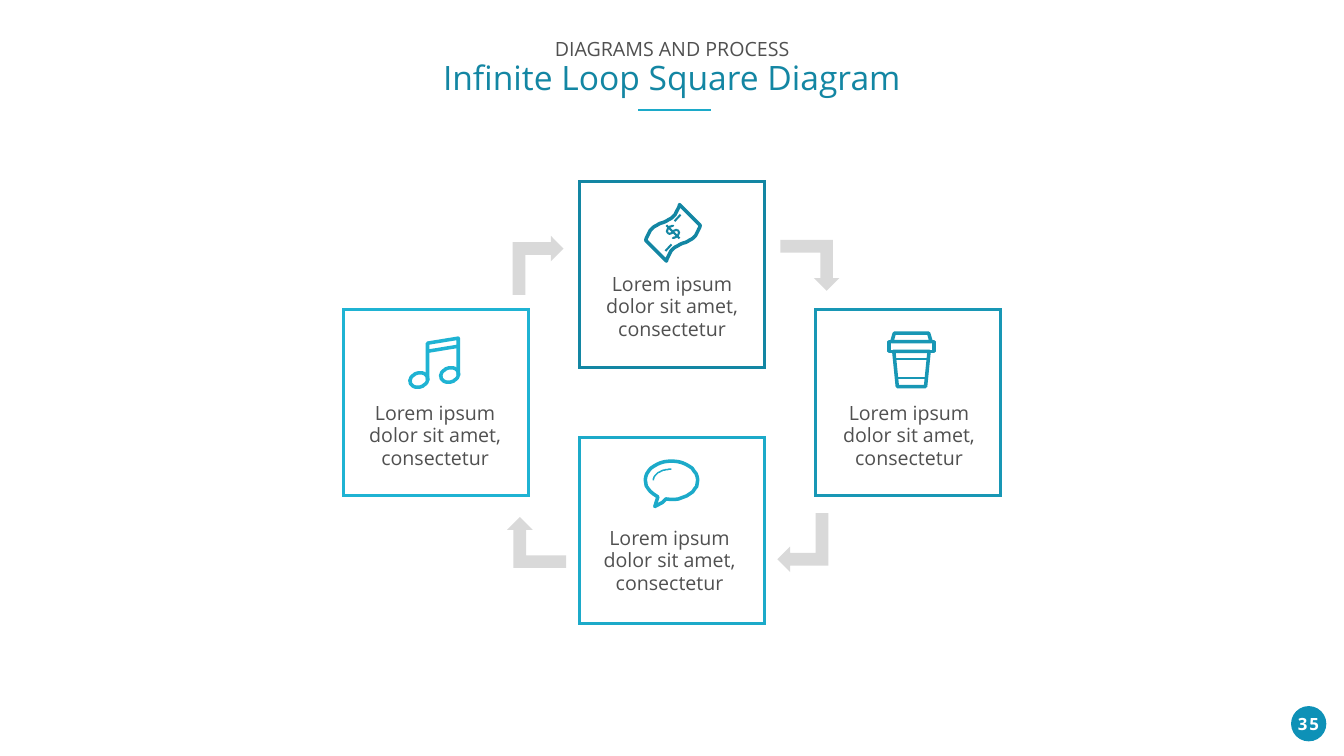
"""Build the infinite loop square diagram slide."""
from math import cos, pi, radians, sin

from lxml.etree import SubElement
from pptx import Presentation
from pptx.dml.color import RGBColor
from pptx.enum.shapes import MSO_CONNECTOR, MSO_SHAPE
from pptx.enum.text import MSO_ANCHOR, MSO_AUTO_SIZE, PP_ALIGN
from pptx.oxml.ns import qn
from pptx.util import Pt

PX = 9144
FONT = "Open Sans"
GREY, SILVER, WHITE, BLUE = "505050", "D9D9D9", "FFFFFF", "0E91B7"
NAVY, TEAL, AQUA, SKY = "1386A3", "1897B5", "1CAAC9", "1FB3D3"
BOLD, MEDIUM, THIN = 7, 4, 3


def rgb(value):
    return RGBColor.from_string(value)


def arc(cx, cy, rx, ry, start=0, end=360, tilt=0):
    points = []
    t = radians(tilt)
    for i in range(37):
        a = radians(start + (end - start) * i / 36)
        x, y = rx * cos(a), ry * sin(a)
        points.append((cx + x * cos(t) - y * sin(t), cy + x * sin(t) + y * cos(t)))
    return points


prs = Presentation()
prs.slide_width, prs.slide_height = 2666 * PX, 1500 * PX
s = prs.slides.add_slide(prs.slide_layouts[5])

title = s.shapes.title
title.left, title.top, title.width, title.height = 864 * PX, 74 * PX, 938 * PX, 125 * PX
tf = title.text_frame
tf.word_wrap = False
tf.auto_size = MSO_AUTO_SIZE.NONE
tf.vertical_anchor = MSO_ANCHOR.TOP
p = tf.paragraphs[0]
for text, size, color in [("DIAGRAMS AND PROCESS", 28, GREY),
                          ("Infinite Loop Square Diagram", 48, NAVY)]:
    if p.runs:
        p = tf.add_paragraph()
    p.alignment = PP_ALIGN.CENTER
    p.line_spacing = 0.9
    r = p.add_run()
    r.text = text
    r.font.name, r.font.size = FONT, Pt(size)
    r.font.color.rgb = rgb(color)

rule = s.shapes.add_connector(MSO_CONNECTOR.STRAIGHT, 1410 * PX, 218 * PX, 1266 * PX, 218 * PX)
rule.line.color.rgb = rgb(AQUA)
rule.line.width = Pt(3)
SubElement(rule._element.spPr, qn("a:effectLst"))

card_w, card_h = 368, 369
mid_x, mid_y, step_x, step_y = 1149, 614, 468, 254
cards = [
    (0, -1, NAVY, 1164, 533),
    (-1, 0, SKY, 694, 789),
    (0, 1, AQUA, 1159, 1037),
    (1, 0, TEAL, 1634, 789),
]
for column, row, color, text_x, text_y in cards:
    x, y = mid_x + column * step_x, mid_y + row * step_y
    sp = s.shapes.add_shape(MSO_SHAPE.RECTANGLE, x * PX, y * PX, card_w * PX, card_h * PX)
    sp.shadow.inherit = False
    sp.fill.solid()
    sp.fill.fore_color.rgb = rgb(WHITE)
    sp.line.color.rgb = rgb(color)
    sp.line.width = Pt(4.5)
    SubElement(sp._element.spPr.find(qn("a:ln")), qn("a:miter"), lim="800000")
    tf = s.shapes.add_textbox(text_x * PX, text_y * PX, 338 * PX, 160 * PX).text_frame
    tf.word_wrap = True
    tf.margin_left = tf.margin_right = 20 * PX
    tf.margin_top = tf.margin_bottom = 10 * PX
    p = tf.paragraphs[0]
    p.alignment = PP_ALIGN.CENTER
    p.line_spacing = 0.95
    r = p.add_run()
    r.text = "Lorem ipsum dolor sit amet, consectetur"
    r.font.name, r.font.size = FONT, Pt(28)
    r.font.color.rgb = rgb(GREY)

arrows = [(1009, 476), (1548, 476), (1534, 1026), (1006, 1026)]
for turn, (x, y) in enumerate(arrows, start=1):
    sp = s.shapes.add_shape(MSO_SHAPE.BENT_UP_ARROW, x * PX, y * PX, 117 * PX, 101 * PX)
    sp.shadow.inherit = False
    sp.fill.solid()
    sp.fill.fore_color.rgb = rgb(SILVER)
    sp.line.fill.background()
    sp.rotation = turn * 90 % 360
    sp._element.spPr.find(qn("a:xfrm")).set("flipH", "1")

note_x, note_y, note_shift = 1335, 462, 41
wavy_edge = []
for i in range(25):
    t = i / 24
    bulge = 5 * sin(2 * pi * t)
    wavy_edge.append((1281 + 67 * t - bulge, 477 - 71 * t - bulge))
far_edge = [(x + note_shift, y + note_shift) for x, y in reversed(wavy_edge)]
fold = [(1320, 498), (1332, 485)]
opposite_fold = [(2 * note_x - x, 2 * note_y - y) for x, y in fold]
dollar_curve = (arc(note_x - 4, note_y - 6, 9, 6, -20, -270, tilt=-45)
                + arc(note_x + 4, note_y + 2, 9, 6, -90, 160, tilt=-45))
dollar_bar = [(note_x + d, note_y - 2 + d) for d in (-13, 13)]
banknote = [
    (wavy_edge + far_edge, BOLD, True),
    (fold, MEDIUM, False),
    (opposite_fold, MEDIUM, False),
    (dollar_curve, MEDIUM, False),
    (dollar_bar, MEDIUM, False),
]

cup_x = 1808
lid, rim, body = (661, 34, 678, 39), (678, 45, 697, 45), (697, 35, 767, 28)
cup = []
for top, top_half, bottom, bottom_half in [lid, rim, body]:
    corners = [(cup_x - top_half, top), (cup_x + top_half, top),
               (cup_x + bottom_half, bottom), (cup_x - bottom_half, bottom)]
    cup.append((corners, BOLD, True))
for y in (712, 750):
    half = 35 - (y - 697) / 10
    cup.append(([(cup_x - half, y), (cup_x + half, y)], THIN, False))

bubble_x, bubble_y = 1332, 953
tail = [(1314, 997), (1299, 1005), (1305, 986)]
bubble = [
    (arc(bubble_x, bubble_y, 52, 38, 125, 462) + tail, BOLD, True),
    (arc(bubble_x, bubble_y, 36, 22, 180, 270), THIN, False),
]

head_x, head_y, beam_dx, beam_dy = 831, 754, 61, -10
stem_x, stem_top = head_x + 17, 681
beam_end = stem_x + beam_dx
frame = [(stem_x, head_y), (stem_x, stem_top),
         (beam_end, stem_top + beam_dy), (beam_end, head_y + beam_dy)]
lower_beam = [(stem_x, stem_top + 16), (beam_end, stem_top + 16 + beam_dy)]
notes = [(frame, BOLD, False), (lower_beam, BOLD, False)]
for i in range(2):
    head = arc(head_x + i * beam_dx, head_y + i * beam_dy, 18, 14, tilt=-20)
    notes.append((head, BOLD, True))

for strokes, color in [(banknote, NAVY), (cup, TEAL), (bubble, AQUA), (notes, SKY)]:
    parts = []
    for points, width, closed in strokes:
        builder = s.shapes.build_freeform(*points[0], scale=PX)
        builder.add_line_segments(points[1:], close=closed)
        sp = builder.convert_to_shape()
        sp.shadow.inherit = False
        sp.fill.background()
        sp.line.color.rgb = rgb(color)
        sp.line.width = width * PX
        parts.append(sp)
    s.shapes.add_group_shape(parts)

badge = s.shapes.add_shape(MSO_SHAPE.OVAL, 2561 * PX, 1401 * PX, 70 * PX, 70 * PX)
badge.shadow.inherit = False
badge.fill.solid()
badge.fill.fore_color.rgb = rgb(BLUE)
badge.line.fill.background()
tf = s.shapes.add_textbox(2556 * PX, 1411 * PX, 79 * PX, 50 * PX).text_frame
tf.word_wrap = True
p = tf.paragraphs[0]
p.alignment = PP_ALIGN.CENTER
r = p.add_run()
r.text = "35"
r.font.name, r.font.size, r.font.bold = FONT, Pt(24), True
r.font.color.rgb = rgb(WHITE)
r._r.get_or_add_rPr().set("spc", "300")

prs.save("out.pptx")
